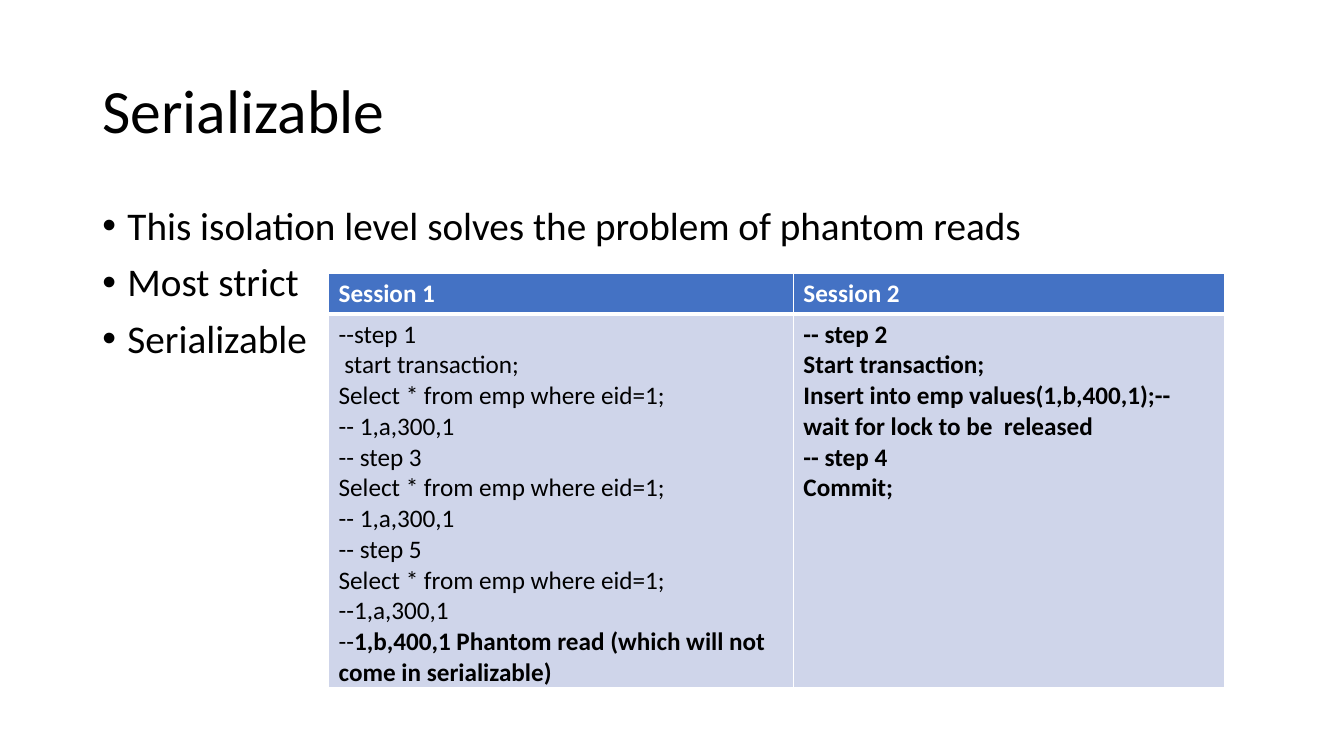
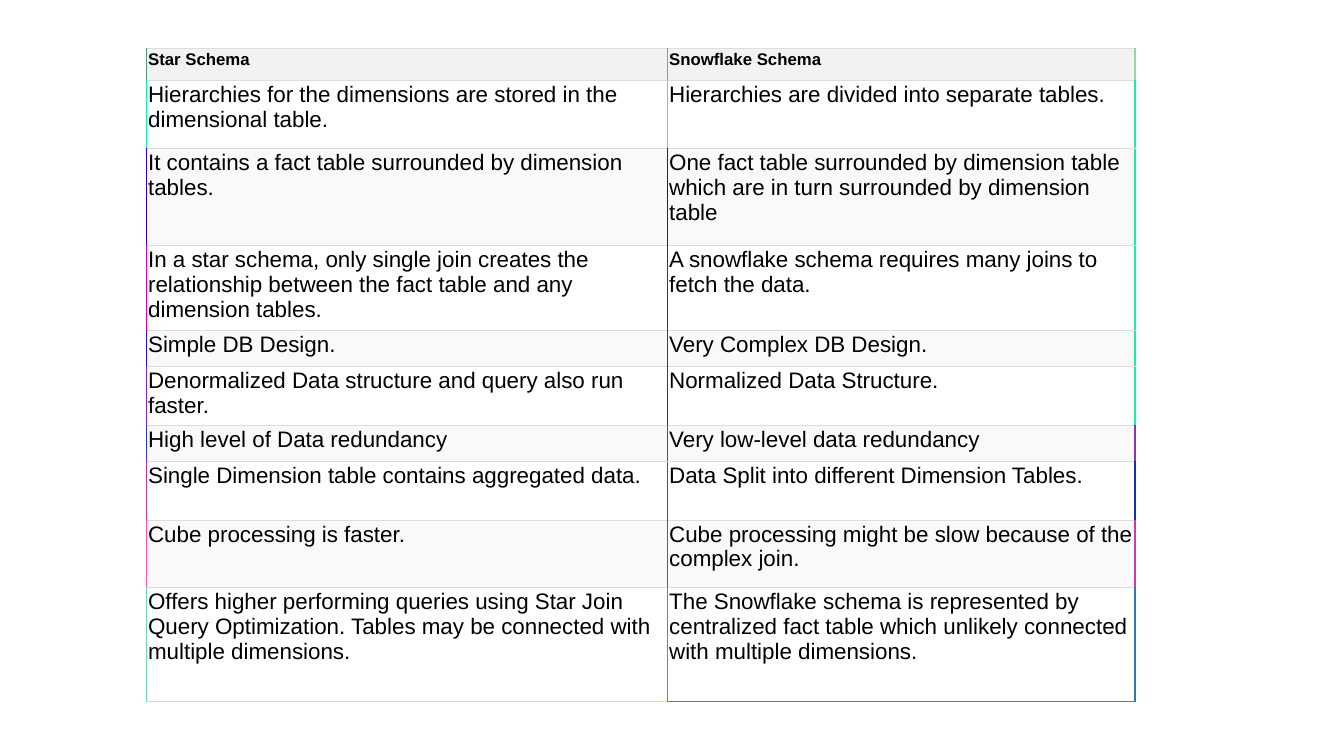
from dataclasses import dataclass
from typing import NamedTuple

from lxml.etree import SubElement
from pptx import Presentation
from pptx.dml.color import RGBColor
from pptx.enum.text import MSO_ANCHOR as Anchor, MSO_AUTO_SIZE as AutoSize, PP_ALIGN as Align
from pptx.oxml.ns import qn
from pptx.util import Pt

BLACK, WHITE = "000000", "FFFFFF"
HEADER_BLUE, BODY_BLUE = "4472C4", "CFD5EA"
HEADER_GREY, STRIPE_GREY, RULE_GREY = "F2F2F2", "F9F9F9", "DDDDDD"
TITLE_ONLY, BLANK = 5, 6


class Box(NamedTuple):
    left: float
    top: float
    width: float
    height: float


class Style(NamedTuple):
    font: str
    size: float
    color: str = BLACK
    bold: bool = False


class Line(NamedTuple):
    color: str
    width: float


class Borders(NamedTuple):
    left: Line
    right: Line
    top: Line
    bottom: Line


class Span(NamedTuple):
    text: str
    style: Style


@dataclass
class TableCell:
    paragraphs: list[list[Span]]
    fill: str
    borders: Borders


class Comparison(NamedTuple):
    height: float
    star: str
    snowflake: str
    left: str
    middle: str
    right: str


TITLE = Style("Calibri", 44)
BULLET = Style("Calibri", 28)
SESSION = Style("Calibri", 18)
SESSION_BOLD = SESSION._replace(bold=True)
SESSION_HEADER = SESSION_BOLD._replace(color=WHITE)
SCHEMA = Style("Arial", 16)
SCHEMA_HEADER = Style("Arial", 12, bold=True)

BULLETS = [
    "This isolation level solves the problem of phantom reads",
    "Most strict",
    "Serializable",
]
SESSION_ONE = [
    "--step 1",
    " start transaction;",
    "Select * from emp where eid=1;",
    "-- 1,a,300,1",
    "-- step 3",
    "Select * from emp where eid=1;",
    "-- 1,a,300,1",
    "-- step 5",
    "Select * from emp where eid=1;",
    "--1,a,300,1",
]
PHANTOM_READ = [
    Span("--", SESSION),
    Span("1,b,400,1 Phantom read (which will not come in serializable)", SESSION_BOLD),
]
SESSION_TWO = [
    "-- step 2",
    "Start transaction;",
    "Insert into emp values(1,b,400,1);-- wait for lock to be  released",
    "-- step 4",
    "Commit;",
]
COMPARISONS = [
    Comparison(23, "Star Schema", "Snowflake Schema", "509780", "909D80", "90D9AC"),
    Comparison(48.2, "Hierarchies for the dimensions are stored in the dimensional table.",
               "Hierarchies are divided into separate tables.",
               "10F1AC", "30F4AC", "10F1AC"),
    Comparison(69.8, "It contains a fact table surrounded by dimension tables.",
               "One fact table surrounded by dimension table which are in turn "
               "surrounded by dimension table",
               "3001AD", "3009AD", "10F1AC"),
    Comparison(60.5, "In a star schema, only single join creates the relationship between "
               "the fact table and any dimension tables.",
               "A snowflake schema requires many joins to fetch the data.",
               "D006AD", "5018AD", "10F1AC"),
    Comparison(25.9, "Simple DB Design.", "Very Complex DB Design.",
               "3013AD", "501DAD", "10F1AC"),
    Comparison(41.8, "Denormalized Data structure and query also run faster.",
               "Normalized Data Structure.",
               "9025AD", "3028AD", "10F1AC"),
    Comparison(25.9, "High level of Data redundancy", "Very low-level data redundancy",
               "3037AD", "5040AD", "9031AD"),
    Comparison(41.8, "Single Dimension table contains aggregated data.",
               "Data Split into different Dimension Tables.",
               "B03AAD", "5040AD", "1033AD"),
    Comparison(48.2, "Cube processing is faster.",
               "Cube processing might be slow because of the complex join.",
               "F05CAD", "1079AD", "D038AD"),
    Comparison(81.4, "Offers higher performing queries using Star Join Query Optimization. "
               "Tables may be connected with multiple dimensions.",
               "The Snowflake schema is represented by centralized fact table which "
               "unlikely connected with multiple dimensions.",
               "70DAAC", "7080AD", "307BAD"),
]


def rgb(color: str) -> RGBColor:
    return RGBColor.from_string(color)


def add_run(paragraph, text: str, style: Style) -> None:
    run = paragraph.add_run()
    run.text = text
    run.font.name = style.font
    run.font.size = Pt(style.size)
    run.font.bold = style.bold
    run.font.color.rgb = rgb(style.color)


def next_paragraph(frame, index: int):
    return frame.add_paragraph() if index else frame.paragraphs[0]


def add_title(slide, text: str) -> None:
    title = slide.shapes.title
    title.left, title.top, title.width, title.height = map(Pt, Box(66, 28.8, 828, 104.4))
    frame = title.text_frame
    frame.auto_size = AutoSize.NONE
    frame.vertical_anchor = Anchor.MIDDLE
    paragraph = frame.paragraphs[0]
    paragraph.alignment = Align.LEFT
    paragraph.line_spacing = 0.9
    add_run(paragraph, text, TITLE)


def add_bullets(slide, box: Box, items: list[str]) -> None:
    frame = slide.shapes.add_textbox(*map(Pt, box)).text_frame
    frame.word_wrap = True
    for index, item in enumerate(items):
        paragraph = next_paragraph(frame, index)
        properties = paragraph._p.get_or_add_pPr()
        properties.set("marL", str(Pt(18)))
        properties.set("indent", str(Pt(-18)))
        SubElement(properties, qn("a:buFont"), typeface="Arial")
        SubElement(properties, qn("a:buChar"), char="•")
        paragraph.line_spacing = 0.9
        if index:
            paragraph.space_before = Pt(10)
        add_run(paragraph, item, BULLET)


def set_borders(cell, borders: Borders) -> None:
    properties = cell._tc.get_or_add_tcPr()
    for tag, line in zip(("a:lnL", "a:lnR", "a:lnT", "a:lnB"), borders):
        border = SubElement(properties, qn(tag), w=str(Pt(line.width)))
        SubElement(SubElement(border, qn("a:solidFill")), qn("a:srgbClr"), val=line.color)


def fill_cell(cell, content: TableCell, margins: tuple[float, float]) -> None:
    cell.margin_left = cell.margin_right = Pt(margins[0])
    cell.margin_top = cell.margin_bottom = Pt(margins[1])
    set_borders(cell, content.borders)
    cell.fill.solid()
    cell.fill.fore_color.rgb = rgb(content.fill)
    for index, spans in enumerate(content.paragraphs):
        paragraph = next_paragraph(cell.text_frame, index)
        for span in spans:
            add_run(paragraph, span.text, span.style)


def add_table(slide, left: float, top: float, widths: list[float], heights: list[float],
              rows: list[list[TableCell]], margins: tuple[float, float]) -> None:
    box = Box(left, top, sum(widths), sum(heights))
    table = slide.shapes.add_table(len(heights), len(widths), *map(Pt, box)).table
    table.first_row = table.horz_banding = False
    for column, width in zip(table.columns, widths):
        column.width = Pt(width)
    for row, height, contents in zip(table.rows, heights, rows):
        row.height = Pt(height)
        for cell, content in zip(row.cells, contents):
            fill_cell(cell, content, margins)


def code_lines(lines: list[str], style: Style) -> list[list[Span]]:
    return [[Span(line, style)] for line in lines]


def build_serializable(presentation) -> None:
    slide = presentation.slides.add_slide(presentation.slide_layouts[TITLE_ONLY])
    add_title(slide, "Serializable")
    add_bullets(slide, Box(66, 144, 828, 342.7), BULLETS)
    thin, thick = Line(WHITE, 1), Line(WHITE, 3)
    header_borders = Borders(thin, thin, thin, thick)
    body_borders = Borders(thin, thin, thick, thin)
    header = [TableCell(code_lines([name], SESSION_HEADER), HEADER_BLUE, header_borders)
              for name in ("Session 1", "Session 2")]
    steps = (code_lines(SESSION_ONE, SESSION) + [PHANTOM_READ],
             code_lines(SESSION_TWO, SESSION_BOLD))
    body = [TableCell(paragraphs, BODY_BLUE, body_borders) for paragraphs in steps]
    add_table(slide, 234.7, 195.1, [332, 308], [29.2, 266.8], [header, body], (7.2, 3.6))


def comparison_cells(index: int, comparison: Comparison) -> list[TableCell]:
    is_header = index == 0
    is_last = index == len(COMPARISONS) - 1
    style = SCHEMA_HEADER if is_header else SCHEMA
    fill = HEADER_GREY if is_header else WHITE if index % 2 else STRIPE_GREY
    rule = Line(RULE_GREY, 0.5)
    inner_width = 0.5 if is_header else 1
    left = Line(comparison.left, inner_width)
    middle = Line(comparison.middle, inner_width)
    right = Line(comparison.right, 1)
    bottoms = (Line("F0D2AC", 1), Line("507DAD", 1)) if is_last else (rule, rule)
    sides = ((comparison.star, left, middle), (comparison.snowflake, middle, right))
    return [TableCell([[Span(text, style)]], fill, Borders(start, end, rule, bottom))
            for (text, start, end), bottom in zip(sides, bottoms)]


def build_schema_comparison(presentation) -> None:
    slide = presentation.slides.add_slide(presentation.slide_layouts[BLANK])
    rows = [comparison_cells(index, row) for index, row in enumerate(COMPARISONS)]
    heights = [row.height for row in COMPARISONS]
    add_table(slide, 104.4, 34.6, [372.2, 334.1], heights, rows, (1.44, 1.44))


def main() -> None:
    presentation = Presentation()
    presentation.slide_width, presentation.slide_height = Pt(960), Pt(540)
    build_serializable(presentation)
    build_schema_comparison(presentation)
    presentation.save("out.pptx")


if __name__ == "__main__":
    main()
